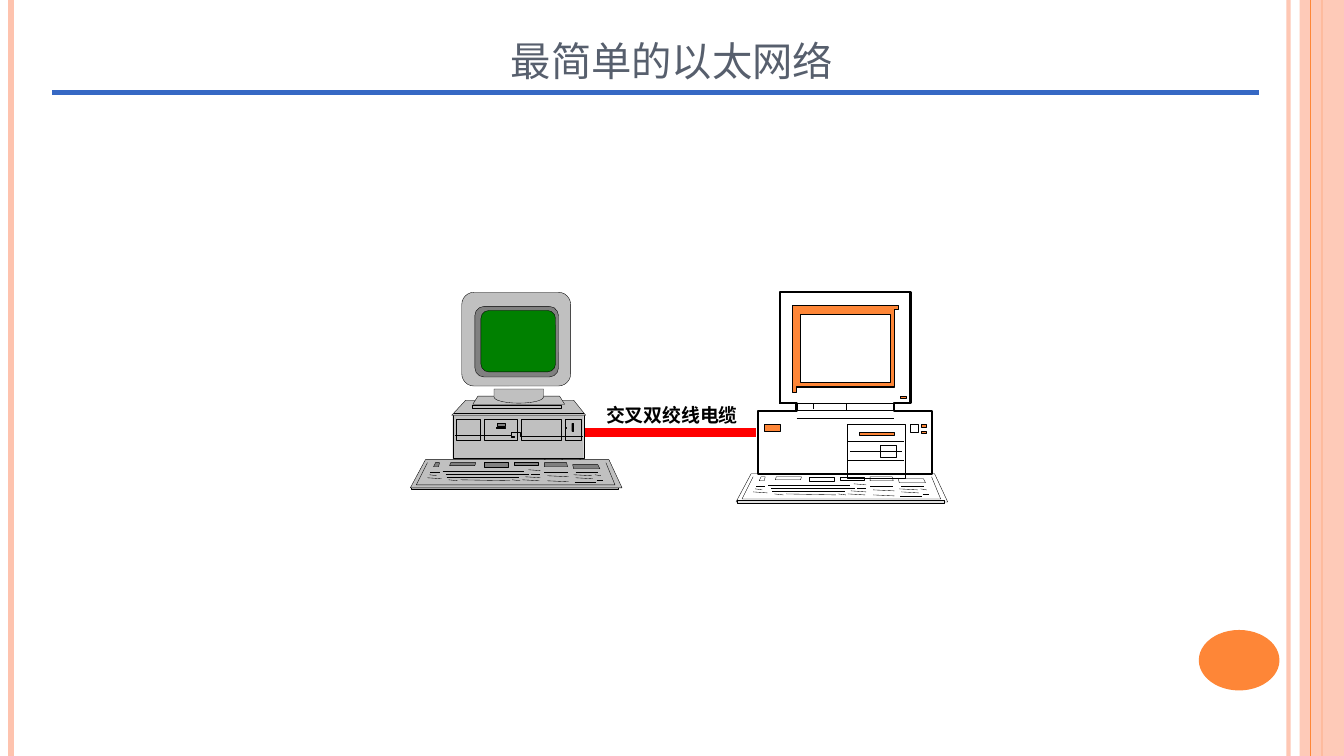
from math import cos, pi, sin

from lxml import etree
from pptx import Presentation
from pptx.dml.color import RGBColor
from pptx.enum.shapes import MSO_CONNECTOR, MSO_SHAPE
from pptx.enum.text import MSO_ANCHOR, PP_ALIGN
from pptx.oxml.ns import qn
from pptx.util import Inches, Pt

# Content
TITLE = "最简单的以太网络"
CABLE_LABEL = "交叉双绞线电缆"


class Theme:
    accent, pale, rule, cable = "FE8637", "FEC3AE", "3668C4", "FF0000"
    ink, title = "000000", "575F6D"
    case, shade, screen = "C0C0C0", "808080", "008000"
    title_font, label_font = "TeX Gyre Schola", "Arial"
    title_size, label_size = 36, 13.5
    hair, thin, medium, bold = 0.25, 0.5, 0.75, 1.5


T = Theme
W, H = 1333, 750  # slide grid: hundredths of an inch

# Keyboard, relative to its top left corner
KEY_TRAY = (1, 26, 205, 3)
KEY_BODY = [(0, 28), (210, 28), (197, 0), (15, 0)]
KEY_RIM = [(17, 3), (6, 25), (203, 25), (194, 3)]
KEY_BLOCKS = [  # top left x, top right x, bottom right x, bottom left x, top, bottom
    (25, 29, 28, 23, 3, 7), (40, 65, 64, 39, 3, 6), (73, 97, 97, 73, 3, 7),
    (103, 127, 127, 103, 3, 6), (133, 155, 156, 133, 3, 7), (161, 186, 188, 162, 5, 9)]
KEY_STROKES = [
    (32, 11, 113, 11), (35, 14, 118, 14), (36, 17, 108, 17), (38, 20, 47, 21),
    (20, 12, 29, 12), (19, 15, 26, 16), (17, 18, 31, 19), (50, 20, 99, 21),
    (117, 10, 129, 11), (120, 14, 129, 14), (114, 17, 129, 18), (101, 20, 109, 21),
    (111, 20, 128, 21), (133, 12, 156, 12), (136, 16, 157, 17), (136, 21, 157, 22),
    (164, 12, 186, 12), (162, 15, 180, 16), (164, 18, 181, 19), (163, 22, 184, 22),
    (183, 15, 189, 16), (185, 20, 191, 20)]

# Left computer
FEET = [540, 557, 575]
CASE_FRONT = (449, 411, 130, 44)
CASE_TOP = [(448, 412), (581, 412), (569, 397), (462, 397)]
BAYS = [(452, 24), (480, 33), (517, 40), (561, 15)]  # x, width
CASE_DETAILS = [
    ((567, 420, 2, 8), T.ink), ((561, 424, 1, 1), T.case), ((493, 420, 8, 3), T.shade),
    ((492, 424, 9, 1), T.ink), ((507, 433, 3, 1), T.ink)]
CASE_SEAM = [(451, 432), (507, 432), (507, 429), (516, 429), (516, 433), (578, 433)]
STAND = [(469, 401), (560, 401), (555, 393), (474, 393)]
STAND_FOOT = (468, 402, 89, 3)
NECK = [(490, 386), (539, 386)] + [
    (514.5 + 24.5 * cos(pi * i / 12), 394 + 6 * sin(pi * i / 12)) for i in range(13)]
MONITOR = [((458, 290, 108, 93), T.case), ((471, 304, 83, 70), T.shade),
           ((477, 308, 74, 61), T.screen)]

# Right computer
SILHOUETTE = [(790, 408), (752, 408), (752, 470), (924, 470), (924, 408), (887, 408),
              (887, 400), (903, 400), (903, 290), (774, 290), (774, 400), (790, 400)]
BEZEL = [(790, 384), (887, 384), (887, 307), (891, 307), (891, 303), (786, 303),
         (786, 389), (790, 389)]
SCREEN = (794, 312, 89, 68)
ACCENT_BOXES = [  # box, outline weight
    ((893, 393, 6, 2), T.thin), ((758, 421, 16, 7), T.medium),
    ((852, 429, 35, 3), T.medium), ((914, 421, 5, 3), T.thin), ((914, 428, 5, 2), T.thin)]
OPEN_BOXES = [((841, 421, 57, 54), T.medium), ((873, 442, 16, 12), T.medium),
              ((903, 421, 8, 8), T.thin)]
PANEL_LINES = [
    ((790, 415, 887, 415), T.medium), ((790, 407, 887, 407), T.medium),
    ((773, 400, 903, 400), T.thin), ((807, 406, 807, 400), T.thin),
    ((839, 407, 839, 400), T.thin), ((841, 438, 897, 438), T.medium),
    ((841, 457, 897, 457), T.medium), ((843, 448, 895, 448), T.medium)]


# Drawing helpers
def u(v):
    return Inches(v / 100)


def fade(sp, percent):
    for clr in sp._element.spPr.iter(qn("a:srgbClr")):
        etree.SubElement(clr, qn("a:alpha")).set("val", str(percent * 1000))


def style(sp, fill, weight):
    sp.shadow.inherit = False
    if fill:
        sp.fill.solid()
        sp.fill.fore_color.rgb = RGBColor.from_string(fill)
    else:
        sp.fill.background()
    if weight:
        sp.line.color.rgb = RGBColor.from_string(T.ink)
        sp.line.width = Pt(weight)
    else:
        sp.line.fill.background()
    return sp


def box(shapes, geom, fill=None, weight=T.hair, kind=MSO_SHAPE.RECTANGLE):
    return style(shapes.add_shape(kind, *map(u, geom)), fill, weight)


def outline(shapes, contours, fill=None, weight=T.hair, close=True):
    first, *rest = [[(u(x), u(y)) for x, y in c] for c in contours]
    fb = shapes.build_freeform(*first[0])
    fb.add_line_segments(first[1:], close=close)
    for c in rest:
        fb.move_to(*c[0])
        fb.add_line_segments(c[1:], close=close)
    return style(fb.convert_to_shape(), fill, weight)


def line(shapes, ends, color=T.ink, weight=T.hair):
    c = shapes.add_connector(MSO_CONNECTOR.STRAIGHT, *map(u, ends))
    c.line.color.rgb = RGBColor.from_string(color)
    c.line.width = Pt(weight)
    etree.SubElement(c._element.spPr, qn("a:effectLst"))
    return c


def write(sp, text, font, size, color, bold=False):
    p = sp.text_frame.paragraphs[0]
    p.alignment = PP_ALIGN.CENTER
    r = p.add_run()
    r.text = text
    r.font.name, r.font.size, r.font.bold = font, Pt(size), bold
    r.font.color.rgb = RGBColor.from_string(color)
    return p, r


def corners(x, y, w, h):
    return [(x, y), (x + w, y), (x + w, y + h), (x, y + h)]


def keyboard(shapes, x0, y0, body=None, keys=None):
    def move(pts):
        return [(x + x0, y + y0) for x, y in pts]

    outline(shapes, [move(corners(*KEY_TRAY))], body)
    outline(shapes, [move(KEY_BODY)], body)
    outline(shapes, [move(KEY_RIM)], close=False)
    for tl, tr, br, bl, top, bottom in KEY_BLOCKS:
        outline(shapes, [move([(tl, top), (tr, top), (br, bottom), (bl, bottom)])], keys)
    for xa, ya, xb, yb in KEY_STROKES:
        line(shapes, (xa + x0, ya + y0, xb + x0, yb + y0))


prs = Presentation()
prs.slide_width, prs.slide_height = u(W), u(H)
s = prs.slides.add_slide(prs.slide_layouts[5])

# Side bands and page marker
fade(line(s.shapes, (1278, 0, 1278, H), T.pale, 3), 93)
line(s.shapes, (11, 0, 11, H), T.pale, 4.5)
line(s.shapes, (1311, 0, 1311, H), T.accent, 1.5)
fade(box(s.shapes, (1289, 0, W - 1289, H), T.pale, 0), 87)
line(s.shapes, (1300, 0, 1300, H), T.accent, 0.75)
box(s.shapes, (1189, 625, 80, 60), T.accent, 0, MSO_SHAPE.OVAL)

# Title and rule
title = s.shapes.title
title.left, title.top, title.width, title.height = map(u, (122, -34, 1089, 125))
title.text_frame.vertical_anchor = MSO_ANCHOR.BOTTOM
p, r = write(title, TITLE, T.title_font, T.title_size, T.title)
r.font._element.set("cap", "small")
line(s.shapes, (52, 92, 1249, 92), T.rule, 3.5)

# Cable
line(s.shapes, (580, 429, 750, 429), T.cable, 6)

# Left computer
pc = s.shapes.add_group_shape().shapes
for x in FEET:
    box(pc, (x, 448, 1, 10), T.ink, 0)
keyboard(pc, 407, 456, T.case, T.shade)
box(pc, CASE_FRONT, T.case)
outline(pc, [CASE_TOP], T.case)
line(pc, (450, 410, 579, 410))
for x, w in BAYS:
    box(pc, (x, 416, w, 21), T.case)
for geom, fill in CASE_DETAILS:
    box(pc, geom, fill)
outline(pc, [CASE_SEAM], close=False)
outline(pc, [STAND], T.case)
box(pc, STAND_FOOT, T.case)
outline(pc, [NECK], T.case)
for geom, fill in MONITOR:
    box(pc, geom, fill, kind=MSO_SHAPE.ROUNDED_RECTANGLE).adjustments[0] = 0.13

# Cable label
tb = s.shapes.add_textbox(*map(u, (584, 391, 165, 37)))
tb.text_frame.word_wrap = True
p, r = write(tb, CABLE_LABEL, T.label_font, T.label_size, T.ink, True)
p.line_spacing, p.space_before = 1.2, Pt(T.label_size / 2)

# Right computer
pc = s.shapes.add_group_shape().shapes
outline(pc, [SILHOUETTE], weight=T.bold)
outline(pc, [BEZEL, corners(*SCREEN)], T.accent, T.medium)
for geom, weight in ACCENT_BOXES:
    box(pc, geom, T.accent, weight)
for geom, weight in OPEN_BOXES:
    box(pc, geom, weight=weight)
for ends, weight in PANEL_LINES:
    line(pc, ends, weight=weight)
keyboard(pc, 730, 470)

prs.save("out.pptx")
